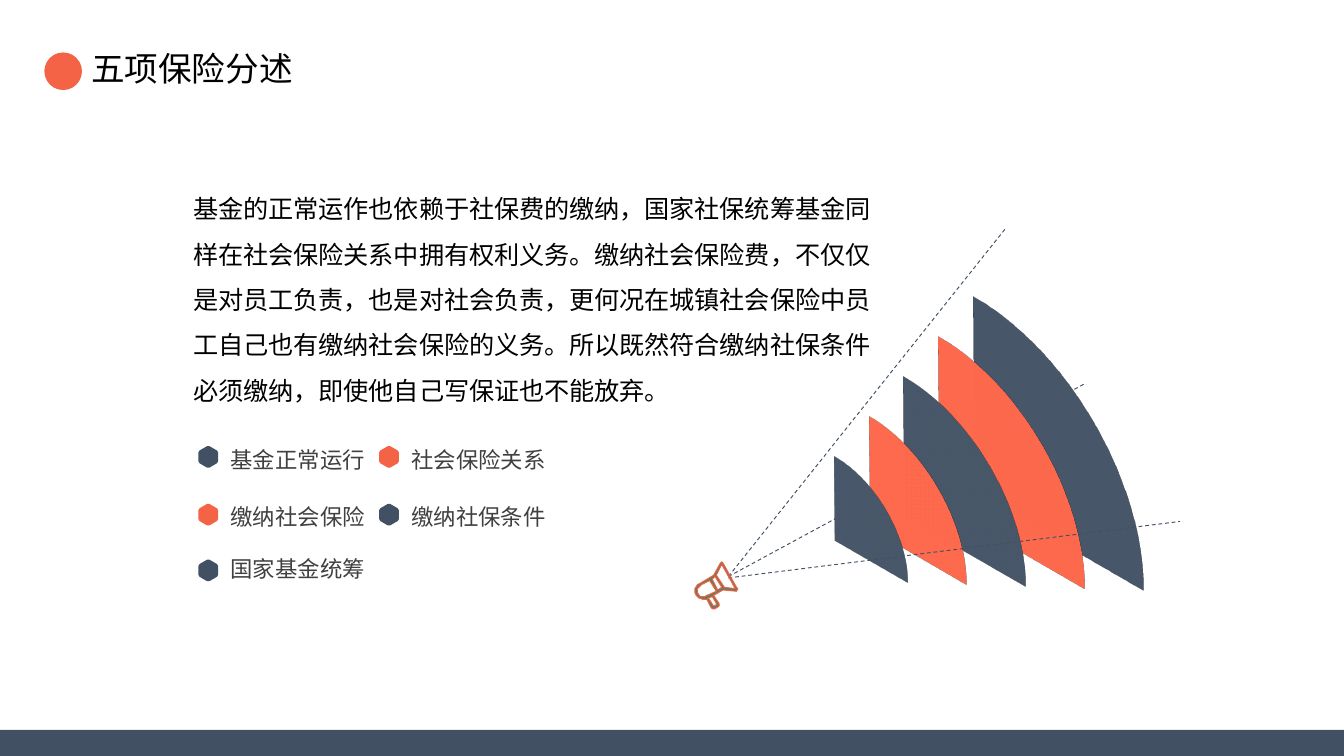
from math import cos, pi, sin

from lxml.etree import SubElement
from pptx import Presentation
from pptx.dml.color import RGBColor
from pptx.enum.dml import MSO_LINE
from pptx.enum.shapes import MSO_CONNECTOR, MSO_SHAPE
from pptx.enum.text import MSO_AUTO_SIZE, PP_ALIGN
from pptx.oxml.ns import qn
from pptx.util import Inches, Pt

CELL = Inches(0.1)
COLS, ROWS = 100, 56.25
CJK = "Noto Sans CJK SC"
COLORS = {
    "navy": "415163",
    "coral": "F46346",
    "olive": "6E7A5C",
    "white": "FFFFFF",
    "black": "000000",
    "gray": "404040",
}
BODY = (
    "基金的正常运作也依赖于社保费的缴纳，国家社保统筹基金同样在社会保险关系中拥有权利义务。"
    "缴纳社会保险费，不仅仅是对员工负责，也是对社会负责，更何况在城镇社会保险中员工自己也有"
    "缴纳社会保险的义务。所以既然符合缴纳社保条件必须缴纳，即使他自己写保证也不能放弃。"
)
LABELS = [
    ("基金正常运行", 0, 0, "navy"),
    ("社会保险关系", 1, 0, "coral"),
    ("缴纳社会保险", 0, 1, "coral"),
    ("缴纳社保条件", 1, 1, "navy"),
    ("国家基金统筹", 0, 2, "navy"),
]
LABEL_TOPS = [32.8, 37, 40.9]
BULLET_ROWS = [34, 38.3, 42.45]
MEGAPHONE = [
    [(52.7, 44.5), (53.1, 45.1), (53.3, 45), (53.3, 44.9), (53, 44.4)],
    [(53, 43.1), (53.4, 43.9), (53.7, 43.7), (53.2, 42.9)],
    [(52.2, 43.5), (51.9, 43.8), (51.9, 44.1), (52.1, 44.4), (52.4, 44.4),
     (52.6, 44.3), (53.3, 44), (52.8, 43.2)],
    [(53.7, 42), (53.3, 42.8), (53.9, 43.7), (54.7, 43.8)],
    [(53.6, 41.9), (53.7, 41.8), (53.8, 41.9), (54.8, 43.7), (54.9, 43.8),
     (54.8, 44), (53.8, 43.9), (53.1, 44.3), (53.5, 44.9), (53.5, 45.1),
     (53.2, 45.3), (53, 45.3), (52.9, 45.2), (52.6, 44.6), (52.3, 44.6),
     (52, 44.5), (51.8, 44.3), (51.7, 44.1), (51.7, 43.8), (51.9, 43.5),
     (52.1, 43.4), (53.1, 42.8)],
]


def grid(*values):
    return [round(v * CELL) for v in values]


def rgb(name):
    return RGBColor.from_string(COLORS[name])


def paint(sp, fill, line=None, width=0.75):
    sp.shadow.inherit = False
    sp.fill.solid()
    sp.fill.fore_color.rgb = rgb(fill)
    if line:
        sp.line.color.rgb = rgb(line)
        sp.line.width = Pt(width)
    else:
        sp.line.fill.background()


def add_preset(s, kind, box, fill, line=None):
    sp = s.shapes.add_shape(kind, *grid(*box))
    paint(sp, fill, line)
    return sp


def add_text(s, text, box, size, color, font=CJK, margins=(0.9, 0.4),
             wrap=True, align=PP_ALIGN.LEFT, spacing=1):
    tf = s.shapes.add_textbox(*grid(*box)).text_frame
    tf.text = text
    tf.word_wrap = wrap
    tf.auto_size = MSO_AUTO_SIZE.SHAPE_TO_FIT_TEXT
    tf.margin_left = tf.margin_right = grid(margins[0])[0]
    tf.margin_top = tf.margin_bottom = grid(margins[1])[0]
    p = tf.paragraphs[0]
    p.alignment = align
    p.line_spacing = spacing
    r = p.runs[0]
    r.font.name = font
    r.font.size = Pt(size)
    r.font.color.rgb = rgb(color)
    SubElement(r.font._element, qn("a:ea"), typeface=CJK)


def add_outline(s, contours, fill, line=None, width=0.75):
    builder = s.shapes.build_freeform(*grid(*contours[0][0]), scale=1.0)
    for i, contour in enumerate(contours):
        points = [grid(*point) for point in contour]
        if i:
            builder.move_to(*points[0])
        builder.add_line_segments(points[1:], close=True)
    paint(builder.convert_to_shape(), fill, line, width)


def add_ray(s, start, end):
    ray = s.shapes.add_connector(MSO_CONNECTOR.STRAIGHT, *grid(*start, *end))
    ray.line.color.rgb = rgb("navy")
    ray.line.width = Pt(0.5)
    ray.line.dash_style = MSO_LINE.DASH
    SubElement(ray._element.spPr, qn("a:effectLst"))


def add_wave(s, cx, cy, size, fill):
    box = (cx - size / 2, cy - size / 2, size, size)
    sp = add_preset(s, MSO_SHAPE.PIE, box, fill, "white")
    sp.adjustments[0] = 161.67
    sp.adjustments[1] = 0.22
    scene = SubElement(sp._element.spPr, qn("a:scene3d"))
    SubElement(scene, qn("a:camera"), prst="isometricLeftDown")
    SubElement(scene, qn("a:lightRig"), rig="threePt", dir="t")


def add_bullet(s, cx, cy, fill, radius=0.85, cut=0.12):
    corners = [(cx + radius * sin(i * pi / 3), cy - radius * cos(i * pi / 3))
               for i in range(6)]
    points = []
    for i, (x, y) in enumerate(corners):
        for nx, ny in (corners[i - 1], corners[(i + 1) % 6]):
            points.append((x + cut * (nx - x), y + cut * (ny - y)))
    add_outline(s, [points], fill)


def main():
    prs = Presentation()
    prs.slide_width, prs.slide_height = grid(COLS, ROWS)
    s = prs.slides.add_slide(prs.slide_layouts[6])

    add_text(s, "五项保险分述", (5.8, 3.1, 17.2, 4), 18, "black",
             font="Arial", margins=(1, 0.5), wrap=False)
    add_preset(s, MSO_SHAPE.OVAL, (3.3, 3.9, 2.8, 2.8), "coral")
    add_preset(s, MSO_SHAPE.RECTANGLE, (0, 54.3, COLS, 2.1), "navy")
    add_text(s, BODY, (14.1, 13.1, 52.6, 17.4), 13.5, "black",
             margins=(0.3, 0.2), spacing=1.5)

    add_ray(s, (54.2, 42.9), (80.8, 28.5))
    for i in range(5):
        add_wave(s, 72.55 - 2.6 * i, 36.65 + 0.89 * i, 35.5 - 5.07 * i,
                 ("navy", "coral")[i % 2])
    add_ray(s, (54.2, 42.9), (74.9, 16.9))
    add_ray(s, (54.2, 43), (87.8, 38.8))
    add_outline(s, MEGAPHONE, "olive", "coral", 0.5)

    for text, col, row, color in LABELS:
        left = 13.45 * col
        add_bullet(s, 15.5 + left, BULLET_ROWS[row], color)
        add_text(s, text, (15.9 + left, LABEL_TOPS[row], 12.5, 2.9), 12,
                 "gray", align=PP_ALIGN.CENTER)

    prs.save("out.pptx")


if __name__ == "__main__":
    main()
